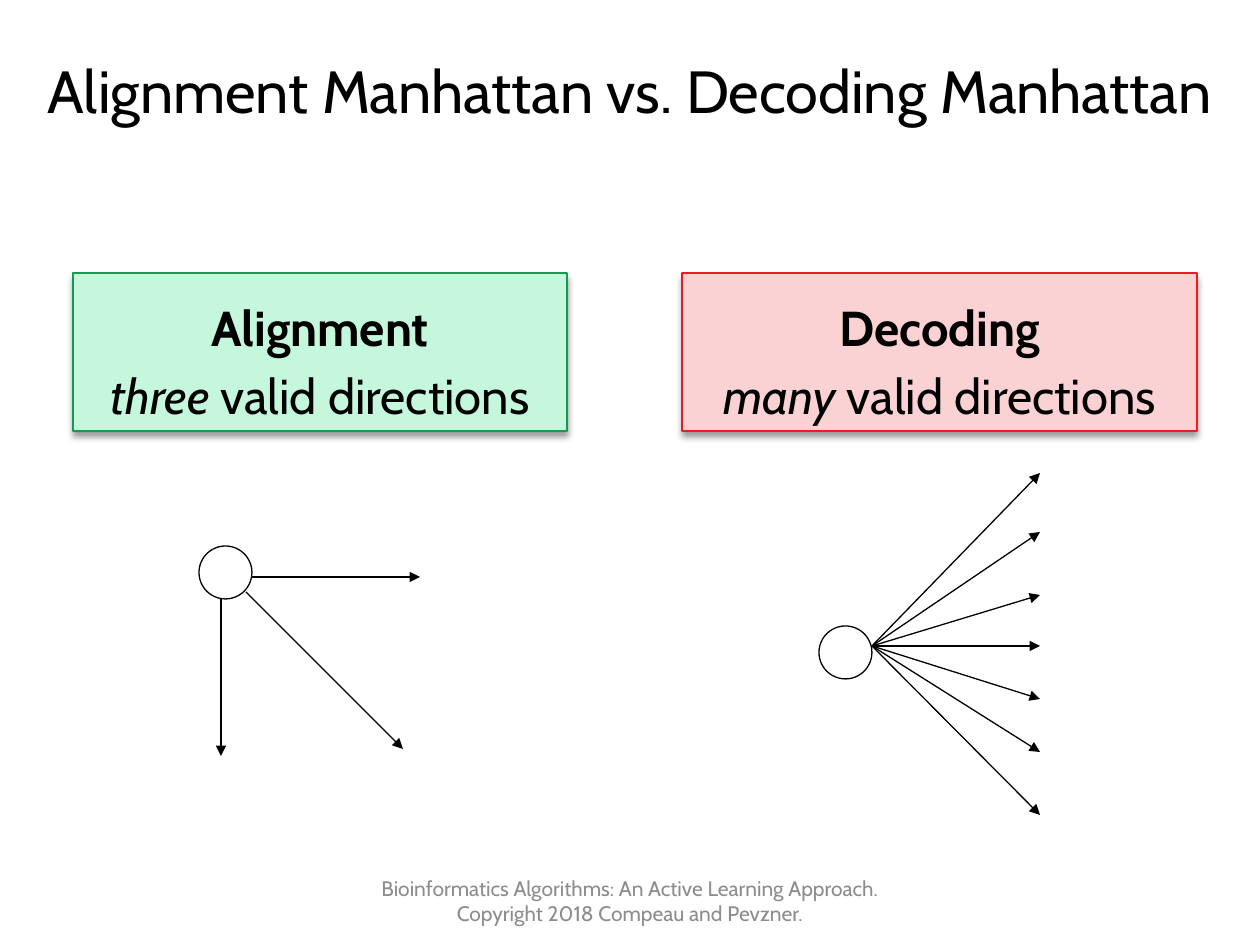
from dataclasses import dataclass

from lxml import etree
from pptx import Presentation
from pptx.dml.color import RGBColor
from pptx.enum.shapes import MSO_CONNECTOR, MSO_SHAPE
from pptx.enum.text import MSO_ANCHOR as Anchor, MSO_AUTO_SIZE, PP_ALIGN
from pptx.oxml import parse_xml
from pptx.oxml.ns import nsdecls, qn
from pptx.util import Pt

EMU_PER_PX = 914400 / 126

SOFT_SHADOW = f"""<a:effectLst {nsdecls('a')}>
  <a:outerShdw blurRad="{Pt(4)}" dist="{Pt(3)}" dir="5400000" rotWithShape="0">
    <a:srgbClr val="000000"><a:alpha val="40000"/></a:srgbClr>
  </a:outerShdw>
</a:effectLst>"""


@dataclass(frozen=True)
class Theme:
    font: str = "Cabin"
    ink: str = "000000"
    muted: str = "8C8C8C"
    green_fill: str = "C4F7DB"
    green_line: str = "149B52"
    red_fill: str = "FBD2D3"
    red_line: str = "ED1C24"
    title_size: int = 34
    panel_size: int = 28
    footer_size: int = 12
    line_width: float = 0.75


def px(*lengths):
    return [round(length * EMU_PER_PX) for length in lengths]


def rgb(color):
    return RGBColor.from_string(color)


class SlideBuilder:
    def __init__(self, slide, theme):
        self.slide = slide
        self.theme = theme

    def set_text(self, frame, paragraphs, size, color, anchor):
        """Fill a frame with paragraphs, each a list of (text, style) runs."""
        frame.word_wrap = True
        frame.auto_size = MSO_AUTO_SIZE.NONE
        frame.vertical_anchor = anchor
        for index, runs in enumerate(paragraphs):
            paragraph = frame.add_paragraph() if index else frame.paragraphs[0]
            paragraph.alignment = PP_ALIGN.CENTER
            paragraph.space_before = Pt(0.2 * size if index else 0)
            for text, style in runs:
                run = paragraph.add_run()
                run.text = text
                run.font.name = self.theme.font
                run.font.size = Pt(size)
                run.font.color.rgb = rgb(color)
                run.font.bold = style == "bold"
                run.font.italic = style == "italic"

    def outline(self, shape, color):
        shape.line.color.rgb = rgb(color)
        shape.line.width = Pt(self.theme.line_width)

    def title(self, text, *box):
        title = self.slide.shapes.title
        title.left, title.top, title.width, title.height = px(*box)
        self.set_text(title.text_frame, [[(text, None)]],
                      self.theme.title_size, self.theme.ink, Anchor.MIDDLE)

    def footer(self, text, *box):
        footer = self.slide.shapes.add_textbox(*px(*box))
        self.set_text(footer.text_frame, [[(text, None)]],
                      self.theme.footer_size, self.theme.muted, Anchor.MIDDLE)

    def panel(self, name, count, fill, line, *box):
        panel = self.slide.shapes.add_shape(MSO_SHAPE.RECTANGLE, *px(*box))
        panel.fill.solid()
        panel.fill.fore_color.rgb = rgb(fill)
        self.outline(panel, line)
        panel._element.spPr.append(parse_xml(SOFT_SHADOW))
        self.set_text(panel.text_frame,
                      [[(name, "bold")],
                       [(count, "italic"), (" valid directions", None)]],
                      self.theme.panel_size, self.theme.ink, Anchor.BOTTOM)

    def node(self, shapes, left, top, diameter=53):
        node = shapes.add_shape(MSO_SHAPE.OVAL, *px(left, top, diameter, diameter))
        node.shadow.inherit = False
        node.fill.background()
        self.outline(node, self.theme.ink)

    def arrow(self, shapes, start, end):
        arrow = shapes.add_connector(MSO_CONNECTOR.STRAIGHT, *px(*start, *end))
        self.outline(arrow, self.theme.ink)
        properties = arrow._element.spPr
        etree.SubElement(properties.find(qn("a:ln")), qn("a:tailEnd"), type="triangle")
        etree.SubElement(properties, qn("a:effectLst"))

    def node_with_arrows(self, corner, arrows):
        """Group a node with its outgoing (start, end) arrows."""
        group = self.slide.shapes.add_group_shape()
        self.node(group.shapes, *corner)
        for start, end in arrows:
            self.arrow(group.shapes, start, end)


def main():
    deck = Presentation()
    deck.slide_width, deck.slide_height = px(1260, 945)
    theme = Theme()
    builder = SlideBuilder(deck.slides.add_slide(deck.slide_layouts[5]), theme)

    builder.title("Alignment Manhattan vs. Decoding Manhattan", 0, 0, 1260, 179)

    builder.panel("Alignment", "three", theme.green_fill, theme.green_line,
                  73, 273, 494, 158)
    builder.node_with_arrows((199, 546), [
        ((252, 577), (420, 577)),
        ((221, 599), (221, 756)),
        ((246, 592), (403, 749)),
    ])

    builder.panel("Decoding", "many", theme.red_fill, theme.red_line,
                  682, 273, 515, 158)
    fan_origin = (872, 646)
    fan_ends = [473, 532, 595, 646, 699, 752, 815]
    builder.node_with_arrows((819, 626), [(fan_origin, (1040, y)) for y in fan_ends])

    builder.footer("Bioinformatics Algorithms: An Active Learning Approach. "
                   "Copyright 2018 Compeau and Pevzner.", 357, 876, 546, 50)
    deck.save("out.pptx")


if __name__ == "__main__":
    main()
